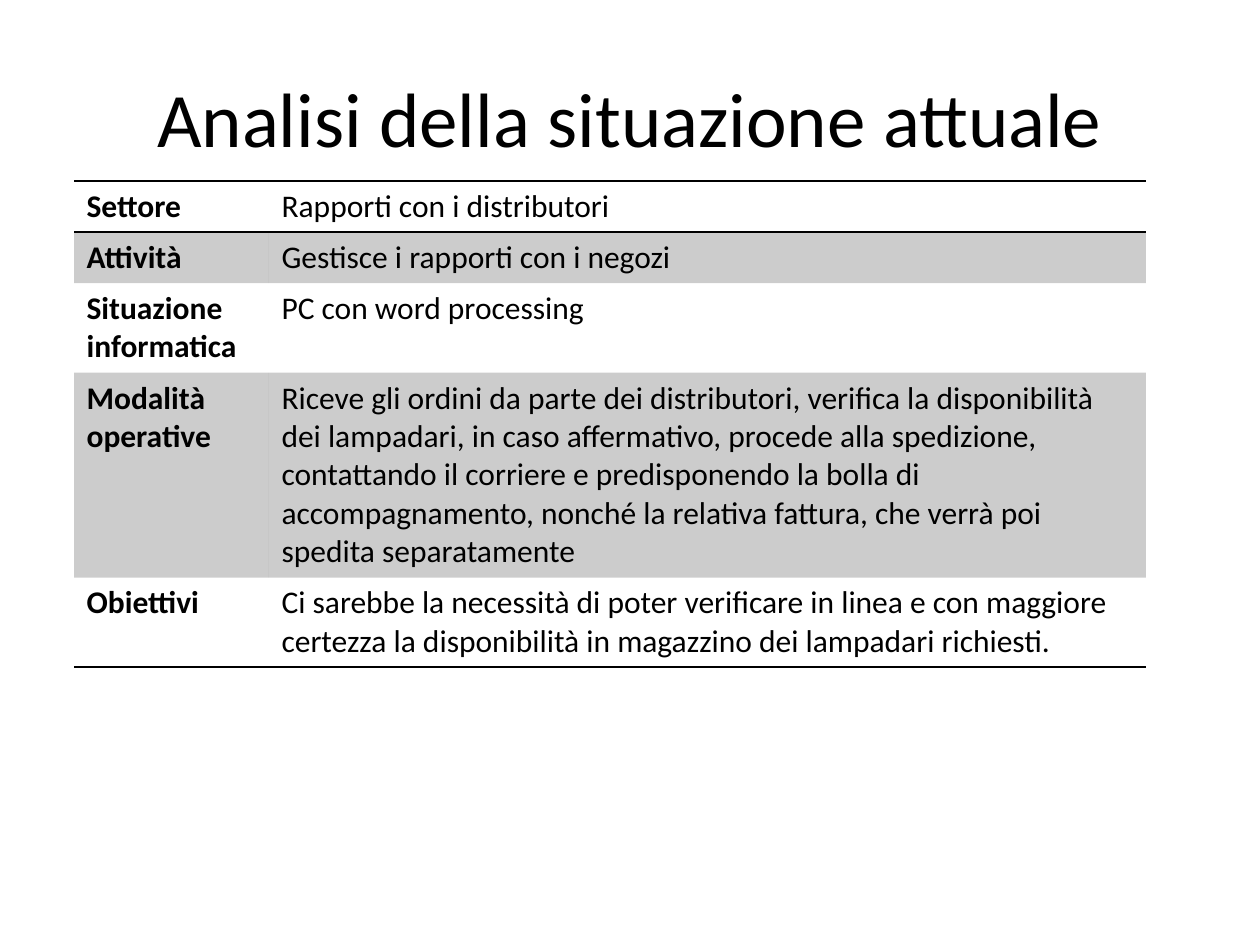
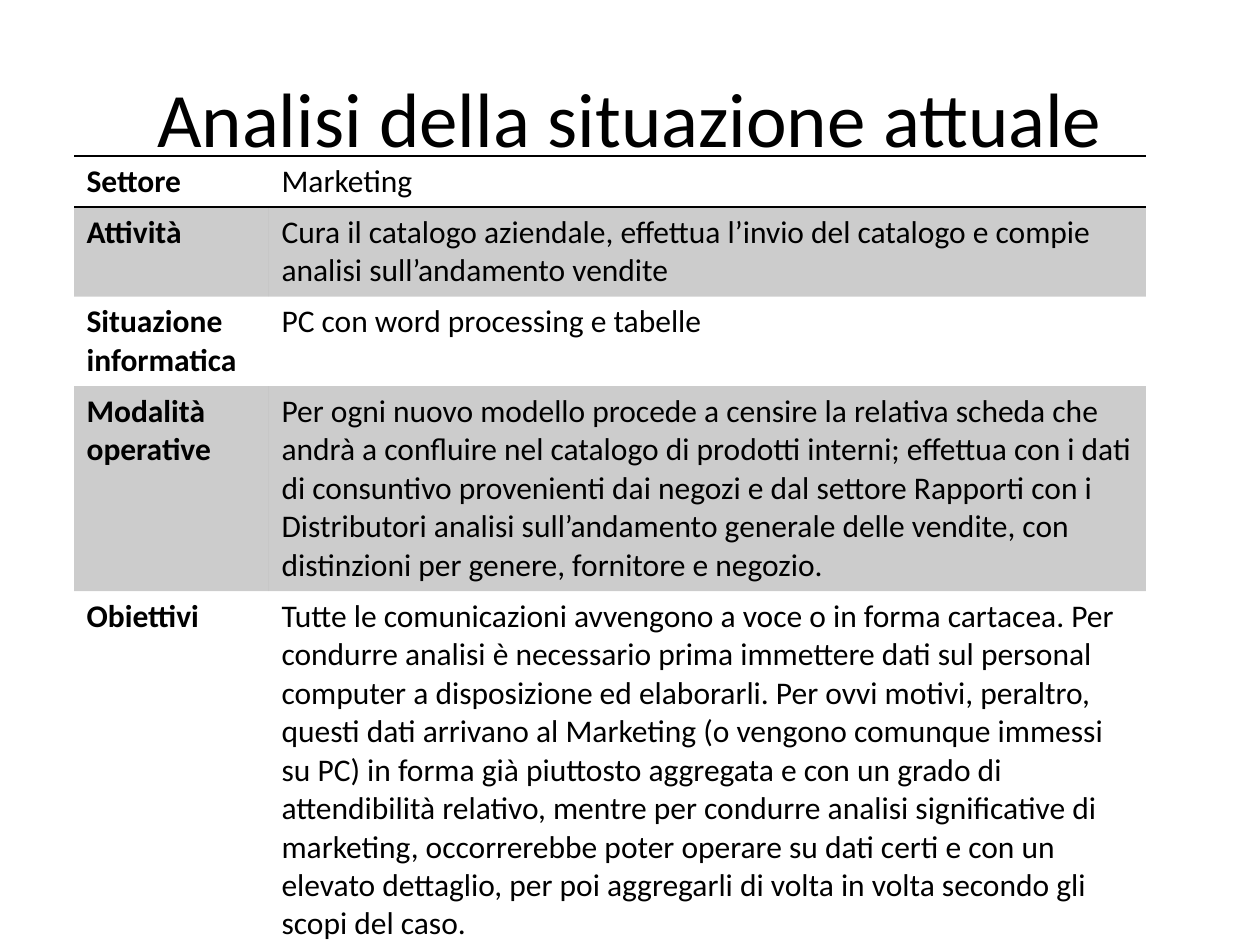
from lxml import etree
from pptx import Presentation
from pptx import util as u
from pptx.dml.color import RGBColor
from pptx.enum import text as t
from pptx.oxml.ns import qn

# Shared scale and style
SCALE = 914400 / 126
BLACK = RGBColor(0, 0, 0)
FONT = "Calibri"
BAND_OPACITY = 20
PLAIN_TABLE_STYLE = "{2D5ABB26-0587-4C30-8999-92F81FD0307C}"
TITLE = "Analisi della situazione attuale"
TITLE_BOX = (63, 38, 1134, 157)
TABLE_LEFT = 74
COLUMN_WIDTHS = (195, 877)
TOPICS = ("Settore", "Attività", "Situazione informatica",
          "Modalità operative", "Obiettivi")

# One entry per sector: table top, frame height, row heights, answers to TOPICS
SECTORS = (
    (181, 480, (51,) * 5, (
        "Rapporti con i distributori",
        "Gestisce i rapporti con i negozi ",
        "PC con word processing",
        "Riceve gli ordini da parte dei distributori, verifica la "
        "disponibilità dei lampadari, in caso affermativo, procede alla "
        "spedizione, contattando il corriere e predisponendo la bolla di "
        "accompagnamento, nonché la relativa fattura, che verrà poi spedita "
        "separatamente",
        "Ci sarebbe la necessità di poter verificare in linea e con maggiore "
        "certezza la disponibilità in magazzino dei lampadari richiesti.",
    )),
    (156, 792, (48, 82, 82, 188, 364), (
        "Marketing",
        "Cura il catalogo aziendale, effettua l’invio del catalogo e compie "
        "analisi sull’andamento vendite",
        "PC con word processing e tabelle",
        "Per ogni nuovo modello procede a censire la relativa scheda che "
        "andrà a confluire nel catalogo di prodotti interni; effettua con i "
        "dati di consuntivo provenienti dai negozi e dal settore Rapporti con "
        "i Distributori analisi sull’andamento generale delle vendite, con "
        "distinzioni per genere, fornitore e negozio. ",
        "Tutte le comunicazioni avvengono a voce o in forma cartacea. Per "
        "condurre analisi è necessario prima immettere dati sul personal "
        "computer a disposizione ed elaborarli. Per ovvi motivi, peraltro, "
        "questi dati arrivano al Marketing (o vengono comunque immessi su PC) "
        "in forma già piuttosto aggregata e con un grado di attendibilità "
        "relativo, mentre per condurre analisi significative di marketing, "
        "occorrerebbe poter operare su dati certi e con un elevato dettaglio, "
        "per poi aggregarli di volta in volta secondo gli scopi del caso.",
    )),
)


def px(pixels):
    return u.Emu(round(pixels * SCALE))


def write(frame, words, size=18, bold=False, align=t.PP_ALIGN.LEFT):
    frame.word_wrap = True
    paragraph = frame.paragraphs[0]
    paragraph.alignment = align
    run = paragraph.add_run()
    run.text = words
    run.font.name = FONT
    run.font.size = u.Pt(size)
    run.font.bold = bold
    run.font.color.rgb = BLACK


def add_title(slide):
    title = slide.shapes.title
    title.left, title.top, title.width, title.height = map(px, TITLE_BOX)
    title.text_frame.vertical_anchor = t.MSO_ANCHOR.MIDDLE
    write(title.text_frame, TITLE, size=44, align=t.PP_ALIGN.CENTER)


def shade(cell):
    """Fill a cell with translucent black."""
    cell.fill.solid()
    cell.fill.fore_color.rgb = BLACK
    color = cell._tc.tcPr.find(".//" + qn("a:srgbClr"))
    etree.SubElement(color, qn("a:alpha"), val=str(BAND_OPACITY * 1000))


def rule(cell, sides):
    """Draw 1 pt borders; they must precede the fill, in schema order."""
    properties = cell._tc.get_or_add_tcPr()
    for position, side in enumerate(sides):
        line = etree.Element(qn("a:ln" + side), w=str(u.Pt(1)))
        fill = etree.SubElement(line, qn("a:solidFill"))
        etree.SubElement(fill, qn("a:srgbClr"), val=str(BLACK))
        properties.insert(position, line)


def add_sector_table(slide, top, height, row_heights, answers):
    frame = slide.shapes.add_table(
        len(TOPICS), len(COLUMN_WIDTHS), px(TABLE_LEFT), px(top),
        px(sum(COLUMN_WIDTHS)), px(height))
    table = frame.table
    table.first_row = table.horz_banding = False
    table._tbl.tblPr.find(qn("a:tableStyleId")).text = PLAIN_TABLE_STYLE
    for column, width in zip(table.columns, COLUMN_WIDTHS):
        column.width = px(width)

    # Rules frame the first row and close the last; odd rows are shaded
    borders = {0: "TB", len(TOPICS) - 1: "B"}
    for index, entry in enumerate(zip(TOPICS, answers)):
        table.rows[index].height = px(row_heights[index])
        for column, words in enumerate(entry):
            cell = table.cell(index, column)
            write(cell.text_frame, words, bold=column == 0)
            if index % 2:
                shade(cell)
            else:
                cell.fill.background()
            rule(cell, borders.get(index, ""))
    frame.height = px(height)


def main():
    deck = Presentation()
    deck.slide_width, deck.slide_height = u.Inches(10), u.Inches(7.5)
    for sector in SECTORS:
        slide = deck.slides.add_slide(deck.slide_layouts[5])
        add_title(slide)
        add_sector_table(slide, *sector)
    deck.save("out.pptx")


main()
